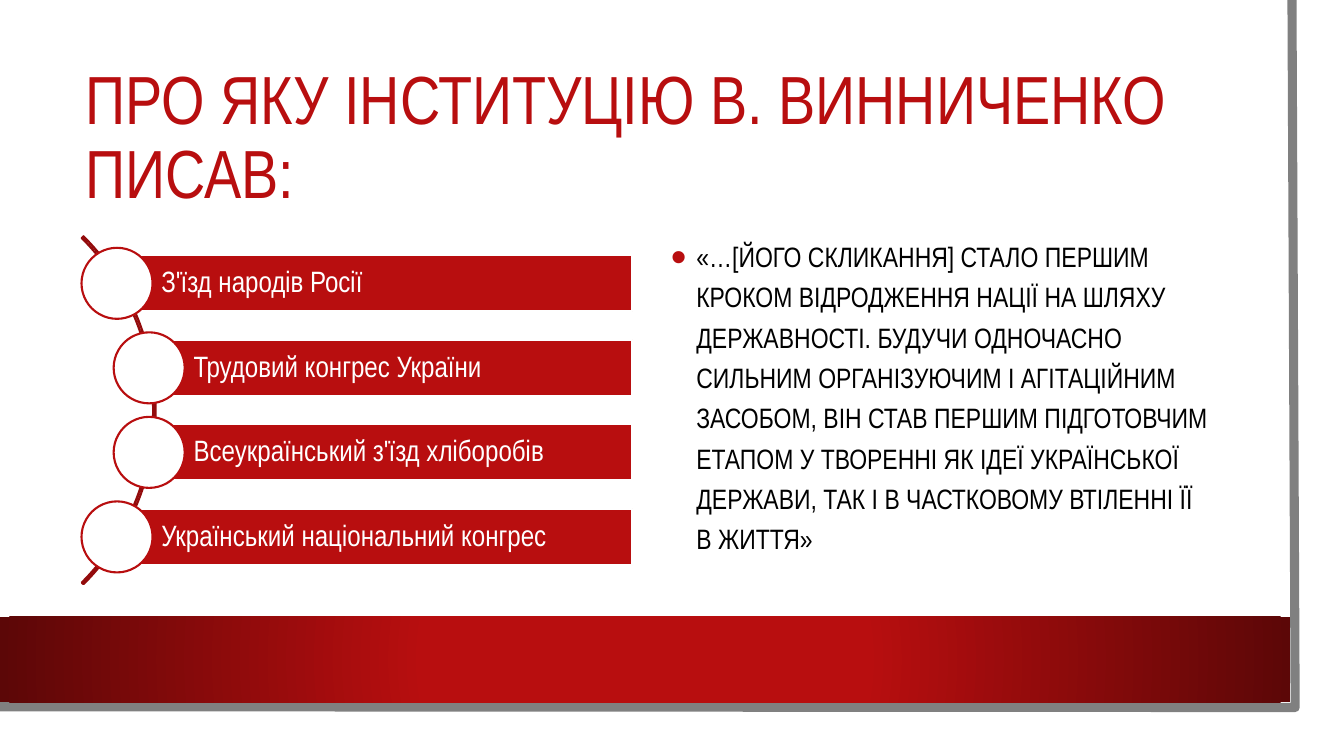
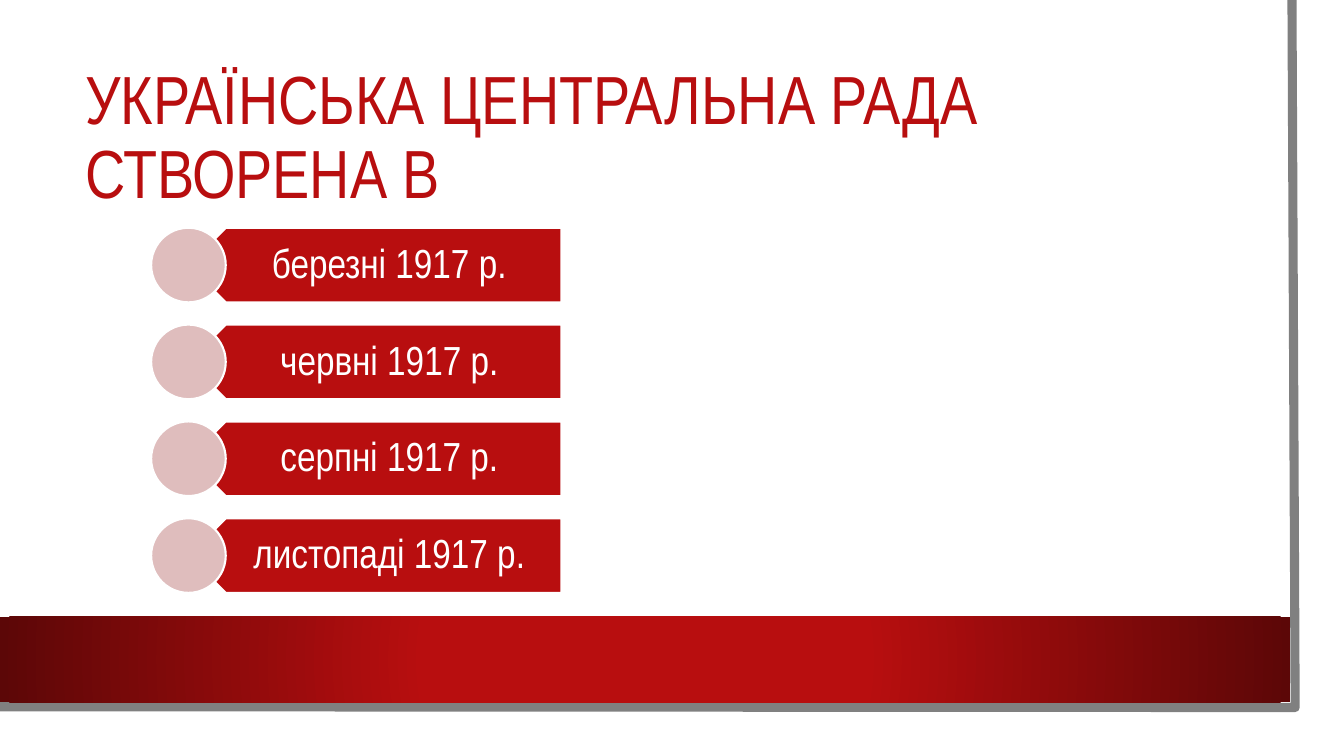
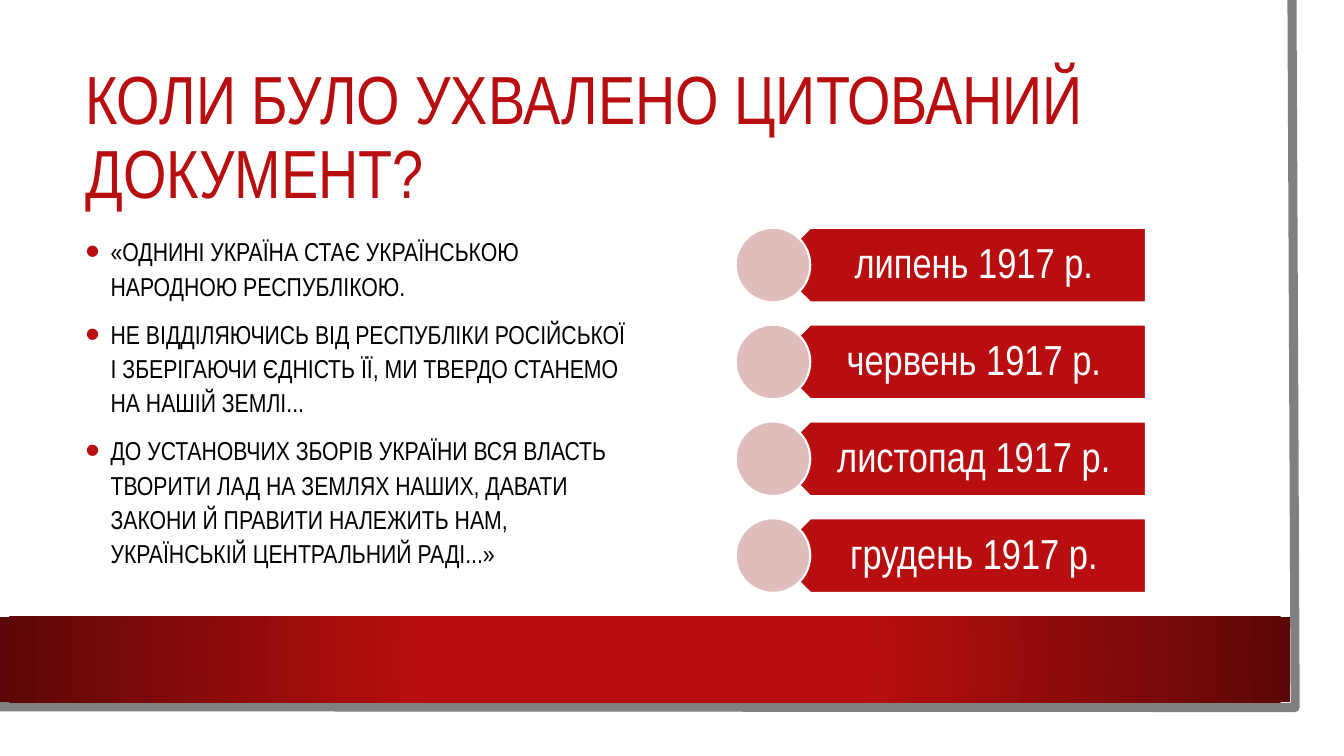
from dataclasses import dataclass
from typing import Any

from lxml.etree import SubElement
from pptx import Presentation
from pptx.dml.color import RGBColor
from pptx.enum.shapes import MSO_SHAPE
from pptx.enum.text import MSO_ANCHOR, PP_ALIGN
from pptx.oxml.ns import qn
from pptx.util import Cm, Pt


@dataclass(frozen=True)
class Theme:
    face: str = "Arial Narrow"
    red: str = "B80E0F"
    dark: str = "5C0707"
    arc: str = "930B0C"
    pink: str = "DFBDBD"
    grey: str = "808080"
    white: str = "FFFFFF"
    black: str = "000000"
    title: float = 48.6
    bar: float = 21
    thin: float = 1.5
    frame: float = 6.5


@dataclass(frozen=True)
class Box:
    left: float
    top: float
    width: float
    height: float

    def cm(self) -> list[Cm]:
        return [Cm(v) for v in (self.left, self.top, self.width, self.height)]


@dataclass(frozen=True)
class Type:
    size: float
    color: str
    lead: float = 0.9
    align: Any = PP_ALIGN.LEFT
    anchor: Any = MSO_ANCHOR.MIDDLE
    pads: tuple[float, ...] = (0.25, 0.13, 0.25, 0.13)
    dots: bool = False


@dataclass(frozen=True)
class Bar:
    text: str
    left: float


THEME = Theme()
TITLE = Box(1.9, 1.9, 28.88, 3.23)
BAND = Box(0, 15.54, 32.51, 2.16)
FRAME = [(32.56, 0), (32.64, 17.83), (0, 17.81)]
ARC = Box(-8.48, 4.14, 12.4, 12.4)


def put(item: Any, vals: dict[str, Any]) -> None:
    for name, val in vals.items():
        setattr(item, name, val)


def paint(shape: Any, fill: str | None, line: str | None, width: float = THEME.thin) -> None:
    shape.shadow.inherit = False
    if fill:
        shape.fill.solid()
        shape.fill.fore_color.rgb = RGBColor.from_string(fill)
    else:
        shape.fill.background()
    if line:
        shape.line.color.rgb = RGBColor.from_string(line)
        shape.line.width = Pt(width)
    else:
        shape.line.fill.background()


def draw(slide: Any, kind: Any, box: Box, fill: str | None, line: str | None) -> Any:
    shape = slide.shapes.add_shape(kind, *box.cm())
    paint(shape, fill, line)
    return shape


def dot(para: Any) -> None:
    props = para._p.get_or_add_pPr()
    put_at = {"marL": str(Cm(0.64)), "indent": str(-Cm(0.64))}
    for name, val in put_at.items():
        props.set(name, val)
    color = SubElement(props, qn("a:buClr"))
    SubElement(color, qn("a:srgbClr"), val=THEME.red)
    SubElement(props, qn("a:buSzPct"), val="160000")
    SubElement(props, qn("a:buFont"), typeface="Arial")
    SubElement(props, qn("a:buChar"), char="•")


def write(shape: Any, lines: list[str], look: Type) -> None:
    frame = shape.text_frame
    left, top, right, low = [Cm(v) for v in look.pads]
    put(frame, {"word_wrap": True, "vertical_anchor": look.anchor,
                "margin_left": left, "margin_top": top,
                "margin_right": right, "margin_bottom": low})
    for num, line in enumerate(lines):
        para = frame.add_paragraph() if num else frame.paragraphs[0]
        if look.dots:
            dot(para)
        put(para, {"alignment": look.align, "line_spacing": look.lead,
                   "space_before": Pt(10 if num else 0)})
        run = para.add_run()
        run.text = line
        put(run.font, {"name": THEME.face, "size": Pt(look.size)})
        run.font.color.rgb = RGBColor.from_string(look.color)


def text(slide: Any, box: Box, lines: list[str], look: Type) -> None:
    write(slide.shapes.add_textbox(*box.cm()), lines, look)


def quote(slide: Any, box: Box, lines: list[str], size: float, lead: float) -> None:
    text(slide, box, lines, Type(size, THEME.black, lead, anchor=MSO_ANCHOR.TOP, dots=True))


def base(deck: Any, title: str) -> Any:
    slide = deck.slides.add_slide(deck.slide_layouts[6])
    start, *rest = [(Cm(x), Cm(y)) for x, y in FRAME]
    path = slide.shapes.build_freeform(*start)
    path.add_line_segments(rest, close=False)
    paint(path.convert_to_shape(), None, THEME.grey, THEME.frame)

    band = draw(slide, MSO_SHAPE.RECTANGLE, BAND, None, None)
    band.fill.gradient()
    stops = zip(band.fill.gradient_stops, ((0.34, THEME.red), (1, THEME.dark)))
    for stop, (place, color) in stops:
        stop.position = place
        stop.color.rgb = RGBColor.from_string(color)
    grad = band._element.spPr.find(qn("a:gradFill"))
    grad.remove(grad.find(qn("a:lin")))
    round_fill = SubElement(grad, qn("a:path"), path="circle")
    SubElement(round_fill, qn("a:fillToRect"), {side: "50000" for side in "ltrb"})

    text(slide, TITLE, [title], Type(THEME.title, THEME.red))
    return slide


def curve(slide: Any, bars: list[Bar]) -> None:
    arc = draw(slide, MSO_SHAPE.BLOCK_ARC, ARC, None, THEME.arc)
    for num, val in enumerate((189, 27, 0.005)):
        arc.adjustments[num] = val
    top, step, high, edge, disc = 6.43, 2.13, 1.42, 15.93, 1.79
    look = Type(THEME.bar, THEME.white, pads=(1.12, 0.15, 0.15, 0.15))
    for num, bar in enumerate(bars):
        y = top + num * step
        box = Box(bar.left, y, edge - bar.left, high)
        write(draw(slide, MSO_SHAPE.RECTANGLE, box, THEME.red, THEME.white), [bar.text], look)
        ring = Box(bar.left - disc / 2, y + (high - disc) / 2, disc, disc)
        draw(slide, MSO_SHAPE.OVAL, ring, THEME.white, THEME.red)


def plates(slide: Any, left: float, size: float, months: list[str]) -> None:
    top, step, wide, high, shift = 5.74, 2.44, 9.4, 1.88, 0.47
    look = Type(size, THEME.white, align=PP_ALIGN.CENTER, pads=(0.84, 0.3, 0.58, 0.3))
    for num, month in enumerate(months):
        y = top + num * step
        plate = draw(slide, MSO_SHAPE.PENTAGON, Box(left, y, wide, high), THEME.red, THEME.white)
        plate.rotation = 180
        text(slide, Box(left + shift, y, wide - shift, high), [month], look)
        disc = Box(left - high / 2, y, high, high)
        draw(slide, MSO_SHAPE.OVAL, disc, THEME.pink, THEME.white)


def main() -> None:
    deck = Presentation()
    put(deck, {"slide_width": Cm(33.87), "slide_height": Cm(19.05)})

    slide = base(deck, "ПРО ЯКУ ІНСТИТУЦІЮ В. ВИННИЧЕНКО ПИСАВ:")
    curve(slide, [
        Bar("З'їзд народів Росії", 2.95),
        Bar("Трудовий конгрес України", 3.76),
        Bar("Всеукраїнський з'їзд хліборобів", 3.76),
        Bar("Український національний конгрес", 2.95),
    ])
    quote(slide, Box(16.66, 5.74, 14.12, 9.2), [
        "«…[ЙОГО СКЛИКАННЯ] СТАЛО ПЕРШИМ КРОКОМ ВІДРОДЖЕННЯ НАЦІЇ НА ШЛЯХУ "
        "ДЕРЖАВНОСТІ. БУДУЧИ ОДНОЧАСНО СИЛЬНИМ ОРГАНІЗУЮЧИМ І АГІТАЦІЙНИМ "
        "ЗАСОБОМ, ВІН СТАВ ПЕРШИМ ПІДГОТОВЧИМ ЕТАПОМ У ТВОРЕННІ ЯК ІДЕЇ "
        "УКРАЇНСЬКОЇ ДЕРЖАВИ, ТАК І В ЧАСТКОВОМУ ВТІЛЕННІ ЇЇ В ЖИТТЯ»",
    ], 20, 1.2)

    slide = base(deck, "УКРАЇНСЬКА ЦЕНТРАЛЬНА РАДА СТВОРЕНА В")
    plates(slide, 4.75, 29, [
        "березні 1917 р.", "червні 1917 р.", "серпні 1917 р.", "листопаді 1917 р.",
    ])

    slide = base(deck, "КОЛИ БУЛО УХВАЛЕНО ЦИТОВАНИЙ ДОКУМЕНТ?")
    quote(slide, Box(1.9, 5.74, 14.15, 9.2), [
        "«ОДНИНІ УКРАЇНА СТАЄ УКРАЇНСЬКОЮ НАРОДНОЮ РЕСПУБЛІКОЮ.",
        "НЕ ВІДДІЛЯЮЧИСЬ ВІД РЕСПУБЛІКИ РОСІЙСЬКОЇ І ЗБЕРІГАЮЧИ ЄДНІСТЬ ЇЇ, "
        "МИ ТВЕРДО СТАНЕМО НА НАШІЙ ЗЕМЛІ...",
        "ДО УСТАНОВЧИХ ЗБОРІВ УКРАЇНИ ВСЯ ВЛАСТЬ ТВОРИТИ ЛАД НА ЗЕМЛЯХ НАШИХ, "
        "ДАВАТИ ЗАКОНИ Й ПРАВИТИ НАЛЕЖИТЬ НАМ, УКРАЇНСЬКІЙ ЦЕНТРАЛЬНИЙ РАДІ...»",
    ], 18.5, 1.1)
    plates(slide, 19.48, 30, [
        "липень 1917 р.", "червень 1917 р.", "листопад 1917 р.", "грудень 1917 р.",
    ])

    deck.save("out.pptx")


if __name__ == "__main__":
    main()
